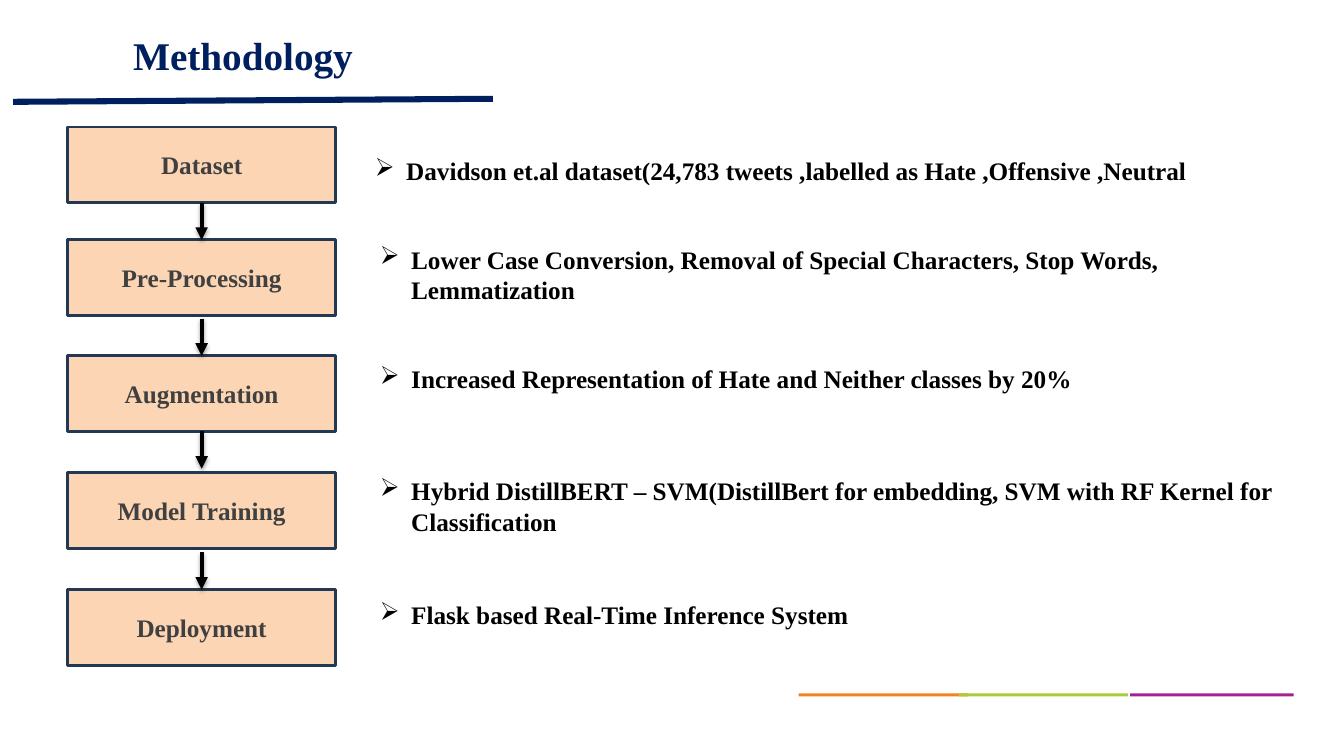
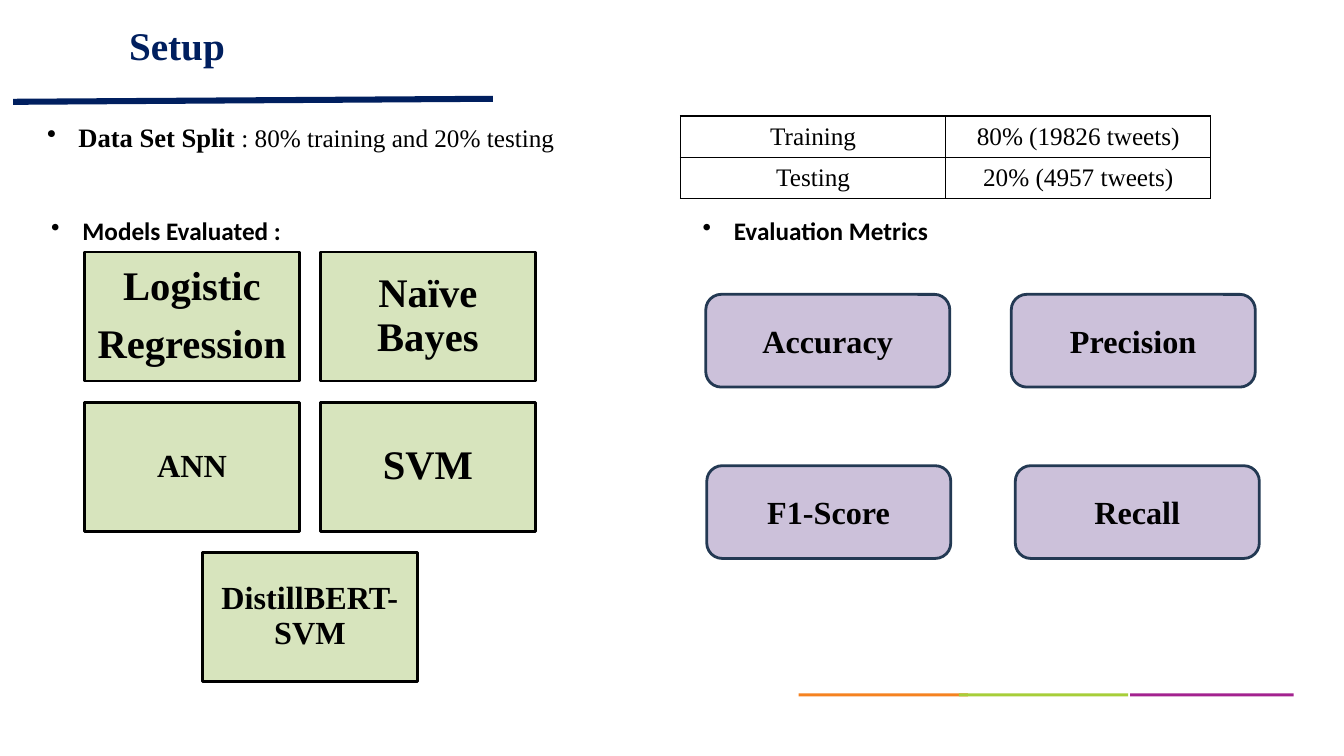
from dataclasses import dataclass
from itertools import pairwise

from lxml import etree
from pptx import Presentation
from pptx.dml.color import RGBColor
from pptx.enum.shapes import MSO_CONNECTOR, MSO_SHAPE
from pptx.enum.text import MSO_ANCHOR, PP_ALIGN
from pptx.oxml.ns import qn
from pptx.util import Pt

RECT, ROUND = MSO_SHAPE.RECTANGLE, MSO_SHAPE.ROUNDED_RECTANGLE
STRAIGHT = MSO_CONNECTOR.STRAIGHT
TOP, MIDDLE = MSO_ANCHOR.TOP, MSO_ANCHOR.MIDDLE
LEFT, CENTER = PP_ALIGN.LEFT, PP_ALIGN.CENTER
SIDE_TOP, SIDE_BOTTOM = 0, 2
PX = 9144  # EMU per px, 100 px to the inch


@dataclass(frozen=True)
class Theme:
    navy: str = "001F5F"
    outline: str = "233953"
    black: str = "000000"
    grey: str = "404040"
    peach: str = "FCD5B5"
    green: str = "D7E4BD"
    lilac: str = "CCC1DA"
    footer: tuple = ("F58220", "A7CE39", "A3228F")
    serif: str = "Times New Roman"
    sans: str = "Calibri"
    title: int = 28
    large: int = 29
    medium: int = 23
    lead: int = 19
    body: int = 18


T = Theme()


def rgb(value):
    return RGBColor.from_string(value)


def sub(parent, tag, **attrs):
    return etree.SubElement(parent, qn(tag), attrs)


class Deck:
    def __init__(self, width, height):
        self.prs = Presentation()
        self.prs.slide_width, self.prs.slide_height = width * PX, height * PX
        self.s = None

    def slide(self, title, x, y):
        """Start a slide with its title, title rule and footer stripes."""
        self.s = self.prs.slides.add_slide(self.prs.slide_layouts[6])
        for (left, width), color in zip(((792, 168), (951, 168), (1121, 162)), T.footer):
            self.paint(self.s.shapes.add_shape(RECT, left * PX, 688 * PX, width * PX, 3 * PX), color)
        outline = self.s.shapes.build_freeform(13, 104, scale=PX)
        outline.add_line_segments([(13, 98), (489, 95), (489, 101)], close=True)
        self.paint(outline.convert_to_shape(), T.navy)
        tf = self.frame(x, y, 975, 94, inset=(0, 0))
        self.add_text(tf.paragraphs[0], [(title, {})], size=T.title, color=T.navy)

    def paint(self, sp, fill, line=None):
        sp.shadow.inherit = False
        sp.fill.solid()
        sp.fill.fore_color.rgb = rgb(fill)
        if line:
            sp.line.color.rgb = rgb(line)
            sp.line.width = Pt(2)
        else:
            sp.line.fill.background()

    def fit(self, tf, inset=(10, 5), anchor=TOP):
        dx, dy = (n * PX for n in inset)
        style = dict(word_wrap=True, vertical_anchor=anchor, margin_left=dx,
                     margin_right=dx, margin_top=dy, margin_bottom=dy)
        for name, value in style.items():
            setattr(tf, name, value)
        return tf

    def frame(self, x, y, w, h, inset=(10, 5)):
        box = self.s.shapes.add_textbox(x * PX, y * PX, w * PX, h * PX)
        return self.fit(box.text_frame, inset)

    def add_text(self, p, runs, align=LEFT, color=T.black, **style):
        p.alignment = align
        for text, changes in runs:
            r = p.add_run()
            r.text = text
            font = dict(name=T.serif, size=T.body, bold=True) | style | changes
            font["size"] = Pt(font["size"])
            for name, value in font.items():
                setattr(r.font, name, value)
            r.font.color.rgb = rgb(color)

    def bullet(self, x, y, w, h, runs, char="•", **style):
        p = self.frame(x, y, w, h).paragraphs[0]
        pPr = p._p.get_or_add_pPr()
        pPr.set("marL", str(31 * PX))
        pPr.set("indent", str(-31 * PX))
        sub(pPr, "a:buChar", char=char)
        self.add_text(p, runs, **style)

    def box(self, x, y, w, h, lines, fill, line=T.outline, kind=RECT, tight=False, **style):
        sp = self.s.shapes.add_shape(kind, x * PX, y * PX, w * PX, h * PX)
        self.paint(sp, fill, line)
        tf = self.fit(sp.text_frame, anchor=MIDDLE)
        for i, text in enumerate(lines):
            p = tf.add_paragraph() if i else tf.paragraphs[0]
            if tight:
                p.line_spacing = 0.9
                p.space_after = Pt(round(style["size"] * 0.35))
            self.add_text(p, [(text, {})], align=CENTER, **style)
        return sp

    def arrow(self, x, y1, y2, begin=None, end=None):
        c = self.s.shapes.add_connector(STRAIGHT, x * PX, y1 * PX, x * PX, y2 * PX)
        if begin:
            c.begin_connect(begin, SIDE_BOTTOM)
        if end:
            c.end_connect(end, SIDE_TOP)
        c.line.color.rgb = rgb(T.black)
        c.line.width = Pt(3)
        spPr = c._element.spPr
        sub(spPr.find(qn("a:ln")), "a:tailEnd", type="triangle")
        effects = sub(spPr, "a:effectLst")
        shadow = sub(effects, "a:outerShdw", blurRad=str(int(Pt(3.1))), dist=str(int(Pt(1.8))),
                     dir="5400000", rotWithShape="0")
        sub(sub(shadow, "a:srgbClr", val=T.black), "a:alpha", val="35000")

    def table(self, x, y, col_w, row_h, rows):
        n, m = len(rows), len(rows[0])
        tbl = self.s.shapes.add_table(n, m, x * PX, y * PX, m * col_w * PX, n * row_h * PX).table
        tbl.first_row = tbl.horz_banding = False
        for i, row in enumerate(rows):
            for j, text in enumerate(row):
                cell = tbl.cell(i, j)
                cell.vertical_anchor = MIDDLE
                tcPr = cell._tc.get_or_add_tcPr()
                for side in "LRTB":
                    ln = sub(tcPr, f"a:ln{side}", w=str(int(Pt(1))))
                    sub(sub(ln, "a:solidFill"), "a:srgbClr", val=T.black)
                cell.fill.background()
                self.add_text(cell.text_frame.paragraphs[0], [(text, {})], align=CENTER, bold=False)


def methodology(d):
    d.slide("Methodology", 132, 31)

    # Pipeline steps: name, box top, then note position, size and text
    steps = [
        ("Dataset", 126, (362, 149, 908, 40),
         "Davidson et.al dataset(24,783 tweets ,labelled as Hate ,Offensive ,Neutral"),
        ("Pre-Processing", 238, (367, 237, 942, 71),
         "Lower Case Conversion, Removal of Special Characters, Stop Words, Lemmatization"),
        ("Augmentation", 353, (367, 356, 908, 40),
         "Increased Representation of Hate and Neither classes by 20%"),
        ("Model Training", 469, (367, 467, 908, 71),
         "Hybrid DistillBERT – SVM(DistillBert for embedding, SVM with RF Kernel for Classification"),
        ("Deployment", 585, (367, 590, 908, 40), "Flask based Real-Time Inference System"),
    ]
    left, width, height, reach = 67, 266, 75, 37
    boxes = []
    for name, top, note, text in steps:
        sp = d.box(left, top, width, height, [name], T.peach, color=T.grey)
        boxes.append((top, sp))
        d.bullet(*note, [(text, {})], char="➢")

    # Arrows of equal length, hung by turns from the upper and the lower box
    for i, ((top, upper), (next_top, lower)) in enumerate(pairwise(boxes)):
        bottom = top + height
        start = next_top - reach if i % 2 else bottom
        d.arrow(left + width // 2, start, start + reach,
                upper if start == bottom else None,
                lower if start + reach == next_top else None)


def setup(d):
    d.slide("Setup", 128, 21)

    # Data split
    d.bullet(37, 115, 533, 42, [("Data Set Split ", {"size": T.lead}),
                                (": 80% training and 20% testing", {"bold": False})])
    d.table(675, 115, 263, 41, [("Training", "80% (19826 tweets)"),
                                ("Testing", "20% (4957 tweets)")])

    # Models: two columns, the last one centred below
    d.bullet(41, 209, 533, 40, [("Models Evaluated :", {})], name=T.sans)
    models = [(["Logistic", "Regression"], T.large), (["Naïve Bayes"], T.large),
              (["ANN"], T.medium), (["SVM"], T.large), (["DistillBERT-SVM"], T.medium)]
    for i, (lines, size) in enumerate(models):
        row, col = divmod(i, 2)
        x = 201 if i == len(models) - 1 else 84 + 234 * col
        d.box(x, 250 + 149 * row, 213, 128, lines, T.green, T.black, tight=True, size=size)

    # Metrics
    d.bullet(687, 209, 475, 40, [("Evaluation Metrics", {})], name=T.sans)
    for name, x, y in (("Accuracy", 700, 292), ("Precision", 1003, 292),
                       ("F1-Score", 701, 462), ("Recall", 1007, 462)):
        d.box(x, y, 242, 92, [name], T.lilac, kind=ROUND, size=T.medium)


def main():
    d = Deck(1333, 750)
    methodology(d)
    setup(d)
    d.prs.save("out.pptx")


if __name__ == "__main__":
    main()
